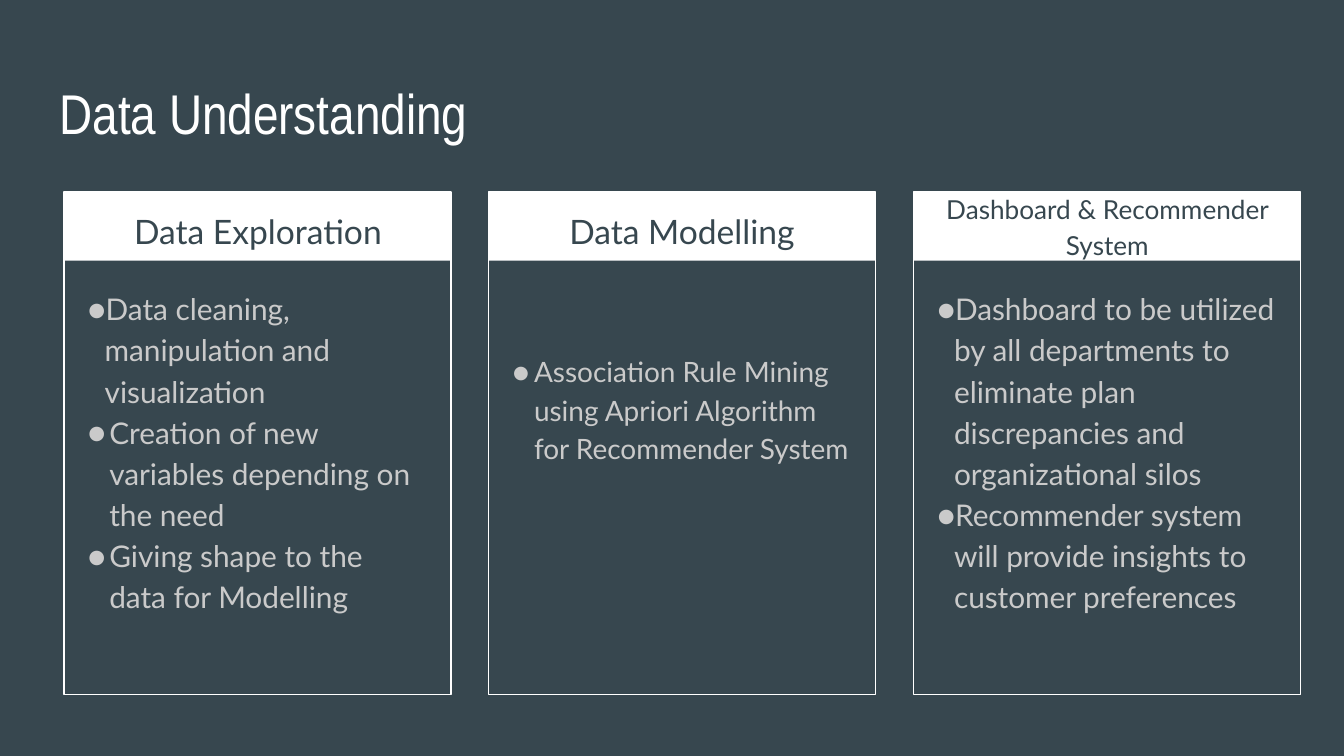
from lxml import etree
from pptx import Presentation
from pptx import util as u
from pptx.dml.color import RGBColor
from pptx.enum import shapes, text
from pptx.oxml import ns

SLATE = RGBColor(0x37, 0x47, 0x4F)
WHITE = RGBColor(0xFF, 0xFF, 0xFF)
GREY = RGBColor(0xCA, 0xCA, 0xCA)
INSET = 20
COLUMN_LEFT, COLUMN_TOP, COLUMN_WIDTH, COLUMN_HEIGHT = 95, 286, 576, 748
COLUMN_STEP = 632
HEADER_HEIGHT = 102

COLUMNS = [
    {
        "heading": "Data Exploration",
        "heading_box": (16, -1, 546, 100),
        "heading_size": 18,
        "size": 16,
        "inset_top": INSET,
        "bullets": [
            ("Data cleaning, manipulation and visualization", 25, -40),
            ("Creation of new variables depending on the need", 32, -48),
            ("Giving shape to the data for Modelling", 32, -48),
        ],
    },
    {
        "heading": "Data Modelling",
        "heading_box": (15, -1, 546, 100),
        "heading_size": 18,
        "size": 15,
        "inset_top": 115,
        "bullets": [
            ("Association Rule Mining using Apriori Algorithm for Recommender System", 32, -46),
        ],
    },
    {
        "heading": "Dashboard & Recommender System",
        "heading_box": (5, -25, 568, 126),
        "heading_size": 14,
        "size": 16,
        "inset_top": INSET,
        "bullets": [
            ("Dashboard to be utilized by all departments to eliminate plan "
             "discrepancies and organizational silos", 25, -35),
            ("Recommender system will provide insights to customer preferences", 25, -35),
        ],
    },
]


def px(length):
    return u.Emu(length * 4572)


def add_text_frame(slide, box, inset_top=INSET):
    frame = slide.shapes.add_textbox(*map(px, box)).text_frame
    frame.word_wrap = True
    frame.vertical_anchor = text.MSO_ANCHOR.TOP
    frame.margin_left = frame.margin_right = frame.margin_bottom = px(INSET)
    frame.margin_top = px(inset_top)
    return frame


def write(paragraph, words, font, size, color):
    paragraph.text = words
    paragraph.font.name = font
    paragraph.font.size = u.Pt(size)
    paragraph.font.color.rgb = color


def add_bullet(paragraph, left, indent):
    properties = paragraph._p.get_or_add_pPr()
    properties.set("marL", str(px(left)))
    properties.set("indent", str(px(indent)))
    color = etree.Element(ns.qn("a:buClr"))
    etree.SubElement(color, ns.qn("a:srgbClr"), val=str(GREY))
    font = etree.Element(ns.qn("a:buFont"), typeface="Lato")
    character = etree.Element(ns.qn("a:buChar"), char="●")
    run_defaults = properties.find(ns.qn("a:defRPr"))
    for part in (color, font, character):
        run_defaults.addprevious(part)


def add_rectangle(slide, box, fill=None, line=None):
    shape = slide.shapes.add_shape(shapes.MSO_SHAPE.RECTANGLE, *map(px, box))
    shape.shadow.inherit = False
    if fill is None:
        shape.fill.background()
    else:
        shape.fill.solid()
        shape.fill.fore_color.rgb = fill
    if line is None:
        shape.line.fill.background()
    else:
        shape.line.color.rgb = line
        shape.line.width = u.Pt(0.75)


def add_title(slide, box):
    frame = add_text_frame(slide, box)
    write(frame.paragraphs[0], "Data Understanding", "Arial Narrow", 30, WHITE)


def add_column(slide, box, column):
    left, top, width, height = box
    add_rectangle(slide, (left, top, width, HEADER_HEIGHT), fill=WHITE)
    add_rectangle(slide, box, line=WHITE)

    dx, dy, heading_width, heading_height = column["heading_box"]
    frame = add_text_frame(slide, (left + dx, top + dy, heading_width, heading_height))
    heading = frame.paragraphs[0]
    write(heading, column["heading"], "Lato", column["heading_size"], SLATE)
    heading.alignment = text.PP_ALIGN.CENTER
    heading.line_spacing = 1.15

    body_box = (left + 16, top + 119, width - 34, height - 136)
    frame = add_text_frame(slide, body_box, column["inset_top"])
    for index, (words, margin, indent) in enumerate(column["bullets"]):
        paragraph = frame.add_paragraph() if index else frame.paragraphs[0]
        write(paragraph, words, "Lato", column["size"], GREY)
        paragraph.line_spacing = 1.15
        add_bullet(paragraph, margin, indent)


def main():
    presentation = Presentation()
    presentation.slide_width = px(2000)
    presentation.slide_height = px(1125)
    slide = presentation.slides.add_slide(presentation.slide_layouts[6])
    slide.background.fill.solid()
    slide.background.fill.fore_color.rgb = SLATE

    add_title(slide, (69, 97, 1864, 126))
    for index, column in enumerate(COLUMNS):
        left = COLUMN_LEFT + index * COLUMN_STEP
        add_column(slide, (left, COLUMN_TOP, COLUMN_WIDTH, COLUMN_HEIGHT), column)

    presentation.save("out.pptx")


if __name__ == "__main__":
    main()
